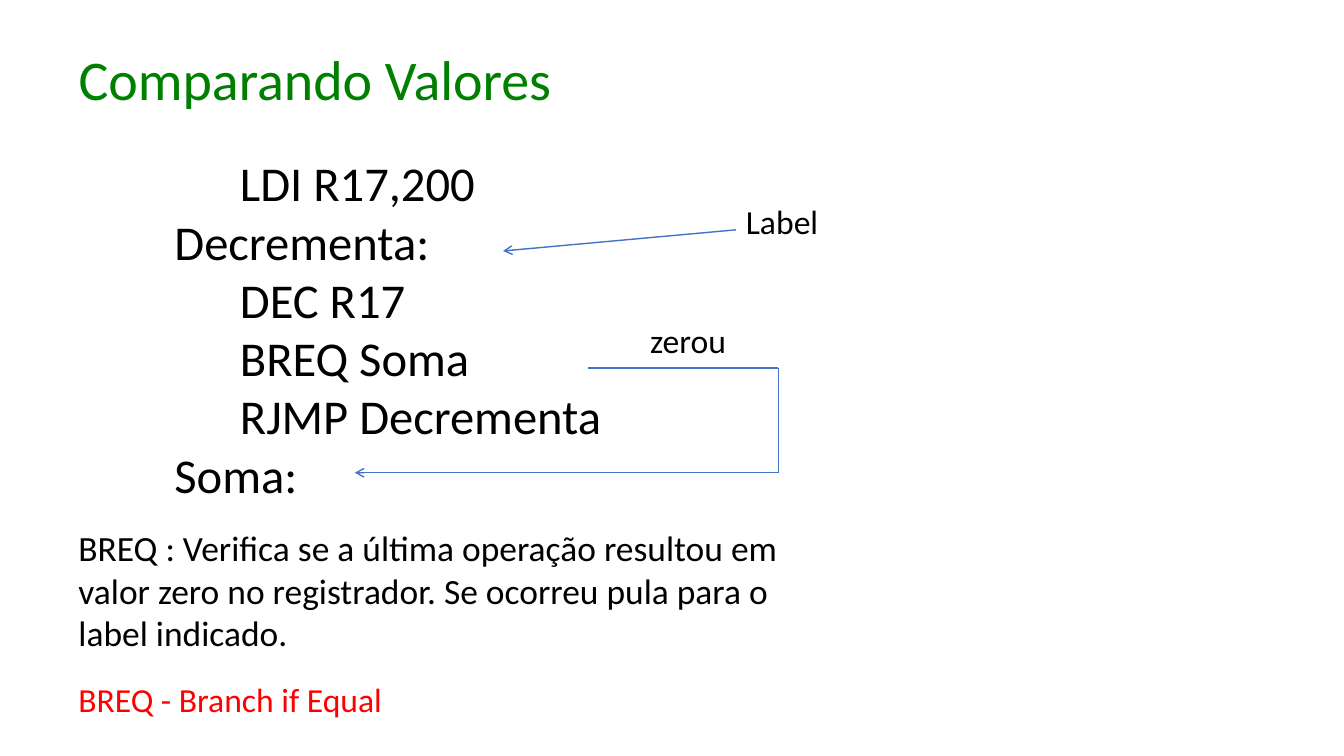
import pptx
import pptx.util
import pptx.dml.color
import pptx.enum.shapes
import pptx.enum.text
import pptx.oxml.ns
import lxml.etree
from dataclasses import dataclass


@dataclass(frozen=True)
class Theme:
    font: str = "Calibri"
    title: str = "008000"
    text: str = "000000"
    accent: str = "FF0000"
    line: str = "4472C4"
    title_size: float = 40
    code_size: float = 34.7
    body_size: float = 25.3
    label_size: float = 24


THEME = Theme()
PX = 9144  # EMU per px, 100 px to the inch
CODE = [  # text, indented
    ("LDI R17,200", True),
    ("Decrementa:", False),
    ("DEC R17", True),
    ("BREQ Soma", True),
    ("RJMP Decrementa", True),
    ("Soma:", False),
]


def px(n):
    return pptx.util.Emu(n * PX)


def rgb(code):
    return pptx.dml.color.RGBColor.from_string(code)


def place(sp, box):
    sp.left, sp.top, sp.width, sp.height = map(px, box)
    tf = sp.text_frame
    tf.word_wrap = True
    tf.auto_size = pptx.enum.text.MSO_AUTO_SIZE.NONE
    tf.vertical_anchor = pptx.enum.text.MSO_ANCHOR.TOP
    return tf


def write(p, text, size=THEME.label_size, color=THEME.text):
    p.alignment = pptx.enum.text.PP_ALIGN.LEFT
    p.space_before = pptx.util.Pt(0)
    r = p.add_run()
    r.text = text
    r.font.name = THEME.font
    r.font.size = pptx.util.Pt(size)
    r.font.color.rgb = rgb(color)


def add_text(s, box, text, **fmt):
    sp = s.shapes.add_textbox(0, 0, 0, 0)
    write(place(sp, box).paragraphs[0], text, **fmt)


def add_line(s, start, end, arrow=False):
    line = s.shapes.add_connector(
        pptx.enum.shapes.MSO_CONNECTOR.STRAIGHT, *map(px, start + end))
    line.line.color.rgb = rgb(THEME.line)
    line.line.width = pptx.util.Pt(1)
    if arrow:
        lxml.etree.SubElement(line.line._get_or_add_ln(),
                              pptx.oxml.ns.qn("a:tailEnd"), type="arrow")
    lxml.etree.SubElement(line._element.spPr, pptx.oxml.ns.qn("a:effectLst"))


def add_title(s, box):
    tf = place(s.shapes.title, box)
    write(tf.paragraphs[0], "Comparando Valores",
          size=THEME.title_size, color=THEME.title)


def add_code(s, box):
    tf = place(s.placeholders[1], box)
    for i, (text, indented) in enumerate(CODE):
        p = tf.paragraphs[0] if i == 0 else tf.add_paragraph()
        write(p, text, size=THEME.code_size)
        # Instructions sit one step in from the labels, without bullets
        pPr = p._p.get_or_add_pPr()
        pPr.set("marL", str(px(65 if indented else 0)))
        pPr.set("indent", "0")
        lxml.etree.SubElement(pPr, pptx.oxml.ns.qn("a:buNone"))


def add_flow(s, box):
    x, y, w, h = box
    right, bottom = x + w, y + h

    # Pointer to the label
    add_line(s, (x + 378, y + 34), (x + 147, y + 55), arrow=True)
    add_text(s, (x + 378, y, 100, 50), "Label")

    # Jump taken when the register reaches zero
    jump_y = y + 171
    add_line(s, (right, jump_y), (x + 231, jump_y))
    add_line(s, (right, bottom), (right, jump_y))
    add_line(s, (right, bottom), (x, bottom), arrow=True)
    add_text(s, (x + 283, y + 118, 104, 50), "zerou")


def add_notes(s, box):
    x, y, w, h = box
    add_text(s, (x, y, w, 138),
             "BREQ : Verifica se a última operação resultou em valor zero no "
             "registrador. Se ocorreu pula para o label indicado.",
             size=THEME.body_size)
    add_text(s, (x, y + h - 50, w, 50), "BREQ - Branch if Equal",
             color=THEME.accent)


def main():
    prs = pptx.Presentation()
    prs.slide_width, prs.slide_height = px(1333), px(750)
    s = prs.slides.add_slide(prs.slide_layouts[1])
    add_title(s, (68, 39, 494, 77))
    add_code(s, (163, 147, 449, 360))
    add_flow(s, (352, 194, 420, 275))
    add_notes(s, (68, 517, 714, 202))
    prs.save("out.pptx")


if __name__ == "__main__":
    main()
